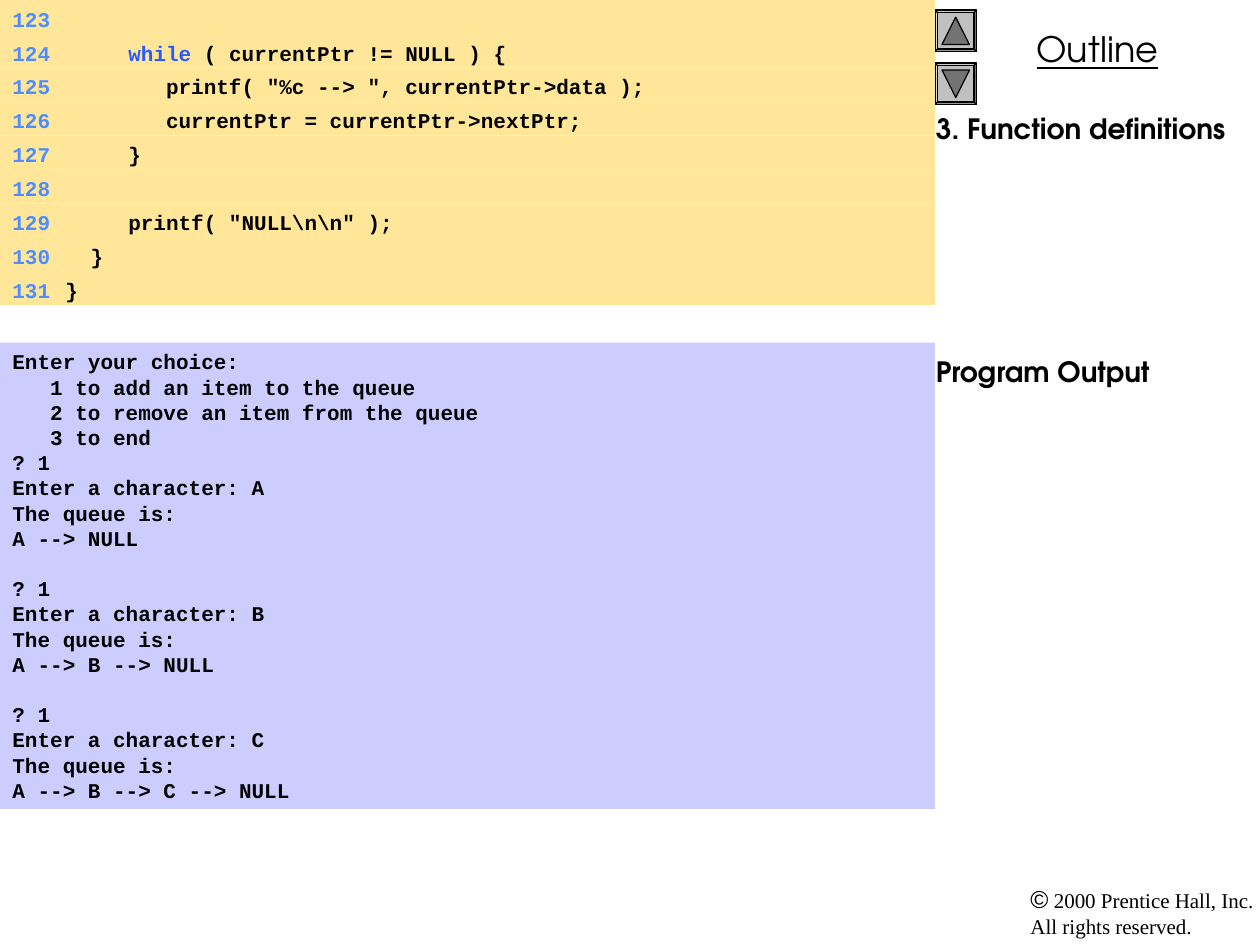
from lxml.etree import SubElement
from pptx import Presentation
from pptx.dml.color import RGBColor
from pptx.enum.shapes import MSO_SHAPE
from pptx.enum.text import MSO_ANCHOR, PP_ALIGN
from pptx.oxml.ns import qn
from pptx.util import Inches, Pt

BLACK = RGBColor(0x00, 0x00, 0x00)
CODE_FILL = RGBColor(0xFF, 0xE6, 0x99)
OUTPUT_FILL = RGBColor(0xCC, 0xCC, 0xFF)
NUMBER_BLUE = RGBColor(0x4D, 0x8D, 0xFF)
KEYWORD_BLUE = RGBColor(0x27, 0x5A, 0xFF)
BUTTON_GRAY = RGBColor(0xC0, 0xC0, 0xC0)
ARROW_GRAY = RGBColor(0x73, 0x73, 0x73)

WIDTH, HEIGHT = Inches(10), Inches(7.5)
PANEL_WIDTH = Inches(7.42)
CODE_PITCH = Pt(14.4)
MONO = {"name": "Courier New", "size": Pt(12), "bold": True}
HEADING = {"name": "TeX Gyre Adventor", "size": Pt(16), "bold": True}
TITLE = {"name": "TeX Gyre Adventor", "size": Pt(20), "underline": True}
SYMBOL = {"name": "Arial", "size": Pt(14)}
NOTICE = {"name": "Times New Roman", "size": Pt(12)}

FIRST_NUMBER = 123
CODE_LINES = [
    [],
    [("      ", NUMBER_BLUE), ("while", KEYWORD_BLUE), (" ( currentPtr != NULL ) {", BLACK)],
    [('         printf( "%c --> ", currentPtr->data );', BLACK)],
    [("         currentPtr = currentPtr->nextPtr;", BLACK)],
    [("      }", BLACK)],
    [],
    [('      printf( "NULL\\n\\n" );', BLACK)],
    [("   }", BLACK)],
    [(" }", BLACK)],
]
MENU = [
    "Enter your choice:",
    "   1 to add an item to the queue",
    "   2 to remove an item from the queue",
    "   3 to end",
]


def add_span(para, text, style, color=BLACK):
    """Append a run with the given format values."""
    span = para.add_run()
    span.text = text
    for name, value in style.items():
        setattr(span.font, name, value)
    span.font.color.rgb = color


def set_tabs(para, stops):
    """Give a paragraph its tab stops as (inches, alignment) pairs."""
    tab_list = SubElement(para._p.get_or_add_pPr(), qn("a:tabLst"))
    for position, alignment in stops:
        SubElement(tab_list, qn("a:tab"), pos=str(Inches(position)), algn=alignment)


def add_text_box(page, left, top, width, height):
    """Add a wrapping text box and return its frame."""
    frame = page.shapes.add_textbox(left, top, width, height).text_frame
    frame.word_wrap = True
    return frame


def add_filled(page, preset, box, fill, line=None):
    """Add a flat preset shape filled with one colour."""
    shape = page.shapes.add_shape(preset, *box)
    shape.shadow.inherit = False
    shape.fill.solid()
    shape.fill.fore_color.rgb = fill
    if line is None:
        shape.line.fill.background()
    else:
        shape.line.color.rgb = line
        shape.line.width = Pt(0.75)
    return shape


def add_panel(page, box, fill):
    """Add a code panel and return its frame."""
    frame = add_filled(page, MSO_SHAPE.RECTANGLE, box, fill).text_frame
    frame.word_wrap = True
    frame.vertical_anchor = MSO_ANCHOR.TOP
    return frame


def add_button(page, left, top, side, rotation):
    """Place a bevelled button with a triangle turned by rotation."""
    bevel = add_filled(page, MSO_SHAPE.BEVEL, (left, top, side, side), BUTTON_GRAY, BLACK)
    bevel.adjustments[0] = 0.06
    inset = int(side * 0.17)
    inner = side - 2 * inset
    box = (left + inset, top + inset, inner, inner)
    arrow = add_filled(page, MSO_SHAPE.ISOSCELES_TRIANGLE, box, ARROW_GRAY, BLACK)
    arrow.rotation = rotation


def add_outline(page, left, top, width, height):
    """Place the outline title, its buttons and the section headings."""
    title = add_text_box(page, left, top + Inches(0.17), width, Inches(0.44)).paragraphs[0]
    title.alignment = PP_ALIGN.CENTER
    add_span(title, "Outline", TITLE)
    for index, rotation in enumerate((0, 180)):
        add_button(page, left, top + Inches(0.08 + 0.42 * index), Inches(0.33), rotation)
    shift = Inches(0.09)
    heading_top = int(height / 9)
    frame = add_text_box(page, left - shift, top + heading_top, width + shift, height - heading_top)
    add_span(frame.paragraphs[0], "3. Function definitions", HEADING)
    para = frame.add_paragraph()
    para.space_before = Pt(120)
    add_span(para, "Program Output", HEADING)


def add_copyright(page, left, top, width, height):
    """Place the copyright notice."""
    frame = add_text_box(page, left, top, width, height)
    frame.margin_right = 0
    para = frame.paragraphs[0]
    add_span(para, "©", SYMBOL)
    add_span(para, " 2000 Prentice Hall, Inc.", NOTICE)
    para.add_line_break()
    add_span(para, "All rights reserved.", NOTICE)


def add_code(page, left, top, width, height):
    """Place the numbered code lines in equal rows."""
    row = height / len(CODE_LINES)
    for index, spans in enumerate(CODE_LINES):
        box = (left, int(top + index * row), width, int(row))
        para = add_panel(page, box, CODE_FILL).paragraphs[0]
        set_tabs(para, [(0, "l"), (0.15, "r"), (0.32, "l")])
        para.alignment = PP_ALIGN.LEFT
        para.line_spacing = CODE_PITCH
        add_span(para, f"\t{FIRST_NUMBER + index}\t", MONO, NUMBER_BLUE)
        for text, color in spans:
            add_span(para, text, MONO, color)


def add_output(page, left, top, width, height):
    """Place the program output, one gap before each later prompt."""
    lines = list(MENU)
    for count, letter in enumerate("ABC", start=1):
        queue = " --> ".join([*"ABC"[:count], "NULL"])
        lines += ["? 1", f"Enter a character: {letter}", "The queue is:", queue]
    frame = add_panel(page, (left, top, width, height), OUTPUT_FILL)
    for index, text in enumerate(lines):
        para = frame.add_paragraph() if index else frame.paragraphs[0]
        para.alignment = PP_ALIGN.LEFT
        para.line_spacing = CODE_PITCH
        if text == "? 1" and index > len(MENU):
            para.space_before = CODE_PITCH
        add_span(para, text, MONO)


def main():
    """Build the deck and save it."""
    deck = Presentation()
    deck.slide_width, deck.slide_height = WIDTH, HEIGHT
    page = deck.slides.add_slide(deck.slide_layouts[6])
    add_outline(page, PANEL_WIDTH, 0, WIDTH - PANEL_WIDTH, HEIGHT)
    add_copyright(page, Inches(8.08), Inches(6.97), Inches(1.92), Inches(0.53))
    add_code(page, 0, 0, PANEL_WIDTH, Inches(2.42))
    add_output(page, 0, Inches(2.72), PANEL_WIDTH, Inches(3.7))
    deck.save("out.pptx")


if __name__ == "__main__":
    main()
